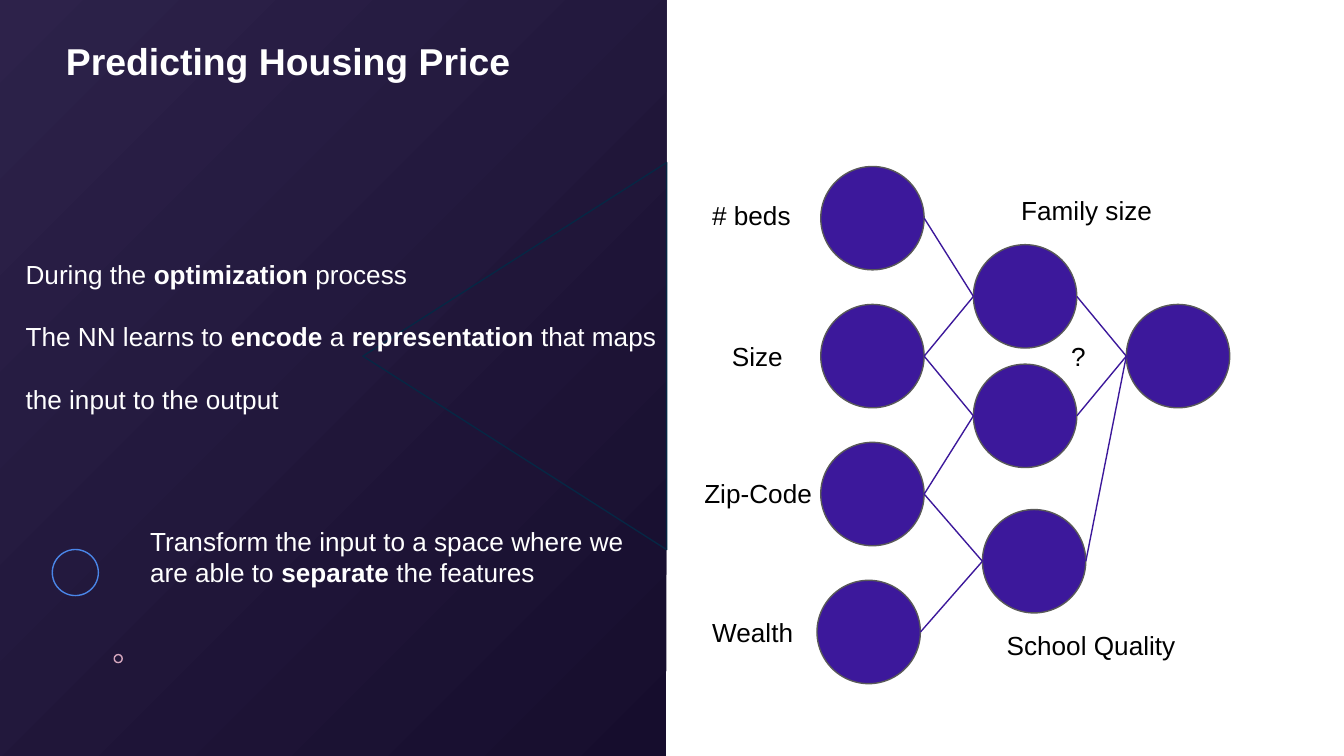
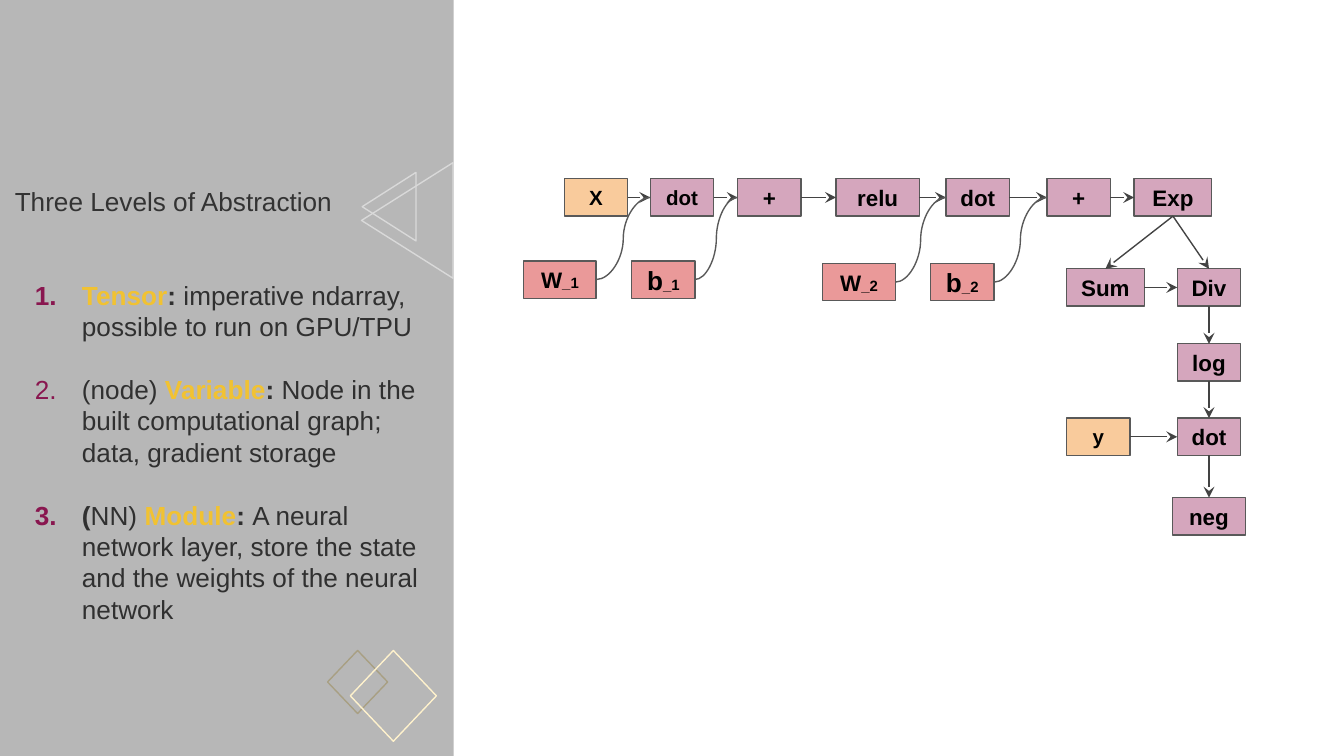
from dataclasses import dataclass
from typing import NamedTuple

from pptx import Presentation
from pptx.dml.color import RGBColor
from pptx.enum.shapes import MSO_CONNECTOR, MSO_SHAPE
from pptx.enum.text import MSO_ANCHOR, MSO_AUTO_SIZE, PP_ALIGN
from pptx.oxml import parse_xml
from pptx.oxml.ns import nsdecls, qn
from pptx.util import Pt

FONT = "Arial"
INSET = 7.2
HAIRLINE = 0.75
LINE_GAP = 16.8
NODE = 55.4
BOX_HEIGHT = 20
TOP, LEFT, BOTTOM, RIGHT = range(4)

COLORS = {
    "white": "FFFFFF",
    "black": "000000",
    "night_light": "2D224A",
    "night_dark": "160D2D",
    "navy": "062744",
    "blue": "4A86E8",
    "violet": "3C189B",
    "outline": "595959",
    "arrow": "434343",
    "panel_gray": "B7B7B7",
    "pale_gray": "D9D9D9",
    "khaki": "A89F83",
    "cream": "FFF2CC",
    "heading": "333333",
    "body": "303030",
    "gold": "F1C232",
    "wine": "89164F",
    "input": "F9CB9C",
    "weight": "EA9999",
    "operation": "D5A6BD",
}


class Span(NamedTuple):
    text: str
    bold: bool = False
    color: str | None = None
    size: float | None = None


class Frame(NamedTuple):
    left: float
    top: float
    width: float
    height: float


@dataclass(frozen=True)
class Ornament:
    shape: MSO_SHAPE
    frame: Frame
    color: str
    rotation: float = 0


@dataclass(frozen=True)
class Operation:
    """A box of the computational graph, placed by its centre."""
    key: str
    spans: tuple[Span, ...]
    center_x: float
    center_y: float
    width: float = 34
    fill: str = "operation"


def rgb(name: str) -> RGBColor:
    return RGBColor.from_string(COLORS[name])


def write(text_frame, paragraphs, *, size=14, color="black", align=PP_ALIGN.LEFT,
          anchor=MSO_ANCHOR.TOP, gap=0, grow=True, numbered=False):
    """Fill a text frame with paragraphs, each a sequence of spans."""
    text_frame.word_wrap = True
    text_frame.auto_size = (MSO_AUTO_SIZE.SHAPE_TO_FIT_TEXT if grow
                            else MSO_AUTO_SIZE.NONE)
    text_frame.vertical_anchor = anchor
    text_frame.margin_left = text_frame.margin_right = Pt(INSET)
    text_frame.margin_top = text_frame.margin_bottom = Pt(INSET)
    for index, spans in enumerate(paragraphs):
        paragraph = text_frame.add_paragraph() if index else text_frame.paragraphs[0]
        set_bullet(paragraph, numbered)
        paragraph.alignment = align
        paragraph.space_before = Pt(gap if index else 0)
        for span in spans:
            run = paragraph.add_run()
            run.text = span.text
            run.font.name = FONT
            run.font.size = Pt(span.size or size)
            run.font.bold = span.bold
            run.font.color.rgb = rgb(span.color or color)


def set_bullet(paragraph, numbered: bool):
    properties = paragraph._p.get_or_add_pPr()
    properties.set("marL", str(Pt(36 if numbered else 0)))
    properties.set("indent", str(Pt(-25.2 if numbered else 0)))
    if numbered:
        properties.append(parse_xml(
            f'<a:buClr {nsdecls("a")}><a:srgbClr val="{COLORS["wine"]}"/></a:buClr>'))
        properties.append(parse_xml(
            f'<a:buAutoNum {nsdecls("a")} type="arabicPeriod"/>'))
    else:
        properties.append(parse_xml(f'<a:buNone {nsdecls("a")}/>'))


def add_outlined(slide, kind, frame: Frame, *, fill=None, line=None, rotation=0):
    shape = slide.shapes.add_shape(kind, *map(Pt, frame))
    shape.shadow.inherit = False
    shape.rotation = rotation
    if fill:
        shape.fill.solid()
        shape.fill.fore_color.rgb = rgb(fill)
    else:
        shape.fill.background()
    if line:
        shape.line.color.rgb = rgb(line)
        shape.line.width = Pt(HAIRLINE)
    else:
        shape.line.fill.background()
    return shape


def add_side_panel(slide, width: float, fill: str):
    return add_outlined(slide, MSO_SHAPE.RECTANGLE,
                        Frame(-4.3, -2.9, width + 4.3, 414), fill=fill)


def add_ornaments(slide, ornaments):
    for item in ornaments:
        add_outlined(slide, item.shape, item.frame, line=item.color,
                     rotation=item.rotation)


def place(slide, placeholder, frame: Frame, paragraphs, **text_format):
    """Move a placeholder above the side panel and fill it."""
    slide.shapes.element.append(placeholder.element)
    placeholder.left, placeholder.top, placeholder.width, placeholder.height = map(Pt, frame)
    write(placeholder.text_frame, paragraphs, **text_format)


def add_label(slide, frame: Frame, spans, **text_format):
    label = slide.shapes.add_textbox(*map(Pt, frame))
    write(label.text_frame, [spans], **text_format)


def add_line(slide, kind, color, start=(0, 0), end=(0, 0), *, arrow=False):
    line = slide.shapes.add_connector(kind, *map(Pt, (*start, *end)))
    line.line.color.rgb = rgb(color)
    line.line.width = Pt(HAIRLINE)
    if arrow:
        line.line._get_or_add_ln().append(
            parse_xml(f'<a:tailEnd {nsdecls("a")} type="stealth"/>'))
    line._element.spPr.append(parse_xml(f'<a:effectLst {nsdecls("a")}/>'))
    return line


def shade_from_corner(panel):
    """Radial gradient that spreads from the top left corner."""
    panel.fill.gradient()
    for stop, color, position in zip(panel.fill.gradient_stops,
                                     ("night_light", "night_dark"), (0, 1)):
        stop.color.rgb = rgb(color)
        stop.position = position
    gradient = panel._element.spPr.find(qn("a:gradFill"))
    gradient.replace(gradient.find(qn("a:lin")), parse_xml(
        f'<a:path {nsdecls("a")} path="circle">'
        '<a:fillToRect r="100000" b="100000"/></a:path>'))


def build_housing(slide):
    shade_from_corner(add_side_panel(slide, 357.1, "night_dark"))
    place(slide, slide.shapes.title, Frame(28.1, 13, 401, 38.9),
          [[Span("Predicting Housing Price", True)]], size=20, color="white")
    add_ornaments(slide, [
        Ornament(MSO_SHAPE.ISOSCELES_TRIANGLE, Frame(172.1, 109.4, 207.4, 162.7), "navy", 270),
        Ornament(MSO_SHAPE.OVAL, Frame(61.2, 350.7, 4.3, 4.3), "operation"),
        Ornament(MSO_SHAPE.OVAL, Frame(28, 294.4, 24.7, 24.7), "blue"),
    ])
    place(slide, slide.placeholders[1], Frame(6.5, 131, 369.4, 99.4), [
        [Span("During the "), Span("optimization", True), Span(" process")],
        [Span("The NN learns to "), Span("encode", True), Span(" a "),
         Span("representation", True), Span(" that maps")],
        [Span("the input to the output")],
    ], color="white", gap=LINE_GAP)
    add_label(slide, Frame(73.4, 274.3, 271.4, 48.2),
              [Span("Transform the input to a space where we are able to "),
               Span("separate", True), Span(" the features")], color="white")

    input_top, input_step = 89.2, 73.9
    inputs = {name: (left, input_top + row * input_step) for row, (name, left) in
              enumerate([("beds", 439.7), ("size", 439.7), ("zip", 439.7), ("wealth", 437.7)])}
    hidden = {"family": (521.5, 131.1), "unknown": (521.5, 195.1), "school": (526.3, 273)}
    nodes = inputs | hidden | {"price": (603.4, inputs["size"][1])}
    feeds = {"family": ("beds", "size"), "unknown": ("size", "zip"),
             "school": ("zip", "wealth"), "price": tuple(hidden)}
    for left, top in nodes.values():
        add_outlined(slide, MSO_SHAPE.OVAL, Frame(left, top, NODE, NODE),
                     fill="violet", line="outline")
    for target, sources in feeds.items():
        end_left, end_top = nodes[target]
        for source in sources:
            left, top = nodes[source]
            add_line(slide, MSO_CONNECTOR.STRAIGHT, "violet",
                     (left + NODE, top + NODE / 2), (end_left, end_top + NODE / 2))

    for text, left, top, width in [
        ("# beds", 374.4, 99.4, 75.6),
        ("Size", 385, 175, 75.6),
        ("Zip-Code", 370.2, 248.4, 75.6),
        ("Wealth", 374.4, 323.1, 75.6),
        ("Family size", 540, 97.2, 115.2),
        ("?", 566.8, 175, 51.1),
        ("School Quality", 532.2, 330, 151.2),
    ]:
        add_label(slide, Frame(left, top, width, 31.7), [Span(text)])


def word(text: str, size: float = 12) -> tuple[Span, ...]:
    return (Span(text, True, size=size),)


def parameter(letter: str, index: int, size: float) -> tuple[Span, ...]:
    return (Span(letter, True, size=size), Span(f"_{index}", True, size=8))


FORWARD_Y, DIV_X, LABEL_Y = 105.8, 647.7, 234
OPERATIONS = [
    Operation("X", word("X", 11), 319.3, FORWARD_Y, fill="input"),
    Operation("dot1", word("dot", 11), 365.4, FORWARD_Y),
    Operation("plus1", word("+"), 412.2, FORWARD_Y),
    Operation("relu", word("relu"), 470.2, FORWARD_Y, 44.6),
    Operation("dot2", word("dot"), 523.8, FORWARD_Y),
    Operation("plus2", word("+"), 577.9, FORWARD_Y),
    Operation("exp", word("Exp"), 628.4, FORWARD_Y, 41.6),
    Operation("W1", parameter("W", 1, 12), 300, 149.8, 38.9, "weight"),
    Operation("b1", parameter("b", 1, 14), 355.4, 149.8, fill="weight"),
    Operation("W2", parameter("W", 2, 12), 460.2, 151.2, 38.9, "weight"),
    Operation("b2", parameter("b", 2, 14), 515.5, 151.2, fill="weight"),
    Operation("sum", word("Sum"), 592.2, 154, 41.6),
    Operation("div", word("Div"), DIV_X, 154),
    Operation("log", word("log"), DIV_X, 194.2),
    Operation("y", word("y", 11), 588.4, LABEL_Y, fill="input"),
    Operation("dot3", word("dot"), DIV_X, LABEL_Y),
    Operation("neg", word("neg"), DIV_X, 276.6, 38.9),
]
FLOWS = [
    (RIGHT, LEFT, [("X", "dot1"), ("dot1", "plus1"), ("plus1", "relu"), ("relu", "dot2"),
                   ("dot2", "plus2"), ("plus2", "exp"), ("sum", "div"), ("y", "dot3")]),
    (BOTTOM, TOP, [("exp", "sum"), ("exp", "div"), ("div", "log"),
                   ("log", "dot3"), ("dot3", "neg")]),
]
PARAMETER_FLOWS = [("W1", "dot1"), ("b1", "plus1"), ("W2", "dot2"), ("b2", "plus2")]


def build_abstraction(slide):
    add_side_panel(slide, 243.1, "panel_gray")
    triangle, diamond = MSO_SHAPE.ISOSCELES_TRIANGLE, MSO_SHAPE.DIAMOND
    add_ornaments(slide, [
        Ornament(triangle, Frame(190.1, 96.3, 36.7, 28.8), "pale_gray", 270),
        Ornament(triangle, Frame(187.2, 93.6, 61.9, 49), "pale_gray", 270),
        Ornament(diamond, Frame(175.5, 348.5, 32.2, 33.8), "khaki"),
        Ornament(diamond, Frame(187.7, 348.5, 46.1, 48.6), "cream"),
    ])
    place(slide, slide.shapes.title, Frame(0.7, 92.2, 236.2, 31.7),
          [[Span("Three Levels of Abstraction")]], color="heading")
    place(slide, slide.placeholders[1], Frame(0.7, 142.4, 236.2, 201.6), [
        [Span("Tensor", True, "gold"), Span(": ", True),
         Span("imperative ndarray, possible to run on GPU/TPU")],
        [Span("(node) "), Span("Variable", True, "gold"), Span(": ", True),
         Span("Node in the built computational graph; data, gradient storage")],
        [Span("(", True), Span("NN) "), Span("Module", True, "gold"), Span(": ", True),
         Span("A neural network layer, store the state and the weights "
              "of the neural network")],
    ], color="body", gap=LINE_GAP, numbered=True)

    boxes = {}
    for item in OPERATIONS:
        frame = Frame(item.center_x - item.width / 2, item.center_y - BOX_HEIGHT / 2,
                      item.width, BOX_HEIGHT)
        box = add_outlined(slide, MSO_SHAPE.RECTANGLE, frame, fill=item.fill, line="outline")
        write(box.text_frame, [item.spans], align=PP_ALIGN.CENTER,
              anchor=MSO_ANCHOR.MIDDLE, grow=False)
        boxes[item.key] = box

    def join(line, source: str, source_side: int, target: str, target_side: int):
        line.begin_connect(boxes[source], source_side)
        line.end_connect(boxes[target], target_side)

    for source_side, target_side, pairs in FLOWS:
        for source, target in pairs:
            join(add_line(slide, MSO_CONNECTOR.STRAIGHT, "arrow", arrow=True),
                 source, source_side, target, target_side)
    for source, target in PARAMETER_FLOWS:
        join(add_line(slide, MSO_CONNECTOR.CURVE, "outline"), source, RIGHT, target, LEFT)


def main():
    deck = Presentation()
    deck.slide_width, deck.slide_height = Pt(720), Pt(405)
    title_and_content = deck.slide_layouts[1]
    for build in (build_housing, build_abstraction):
        build(deck.slides.add_slide(title_and_content))
    deck.save("out.pptx")


if __name__ == "__main__":
    main()
